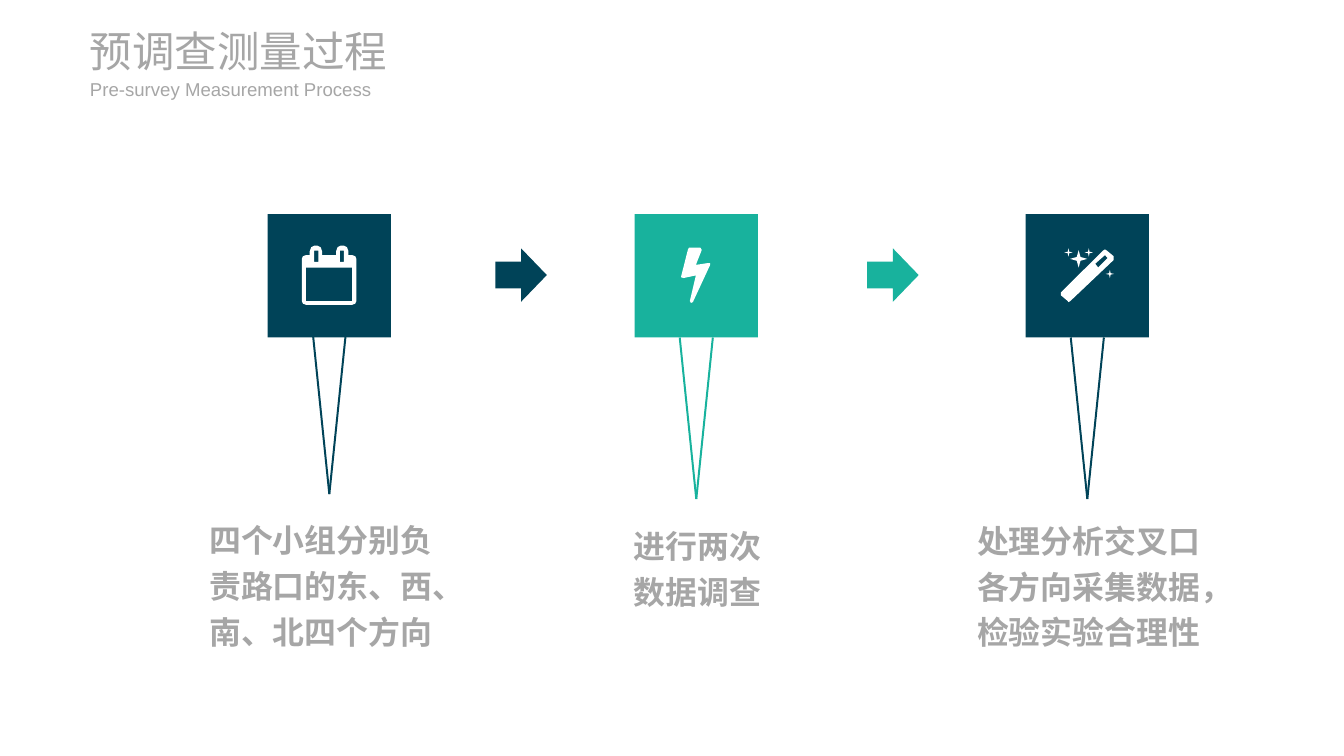
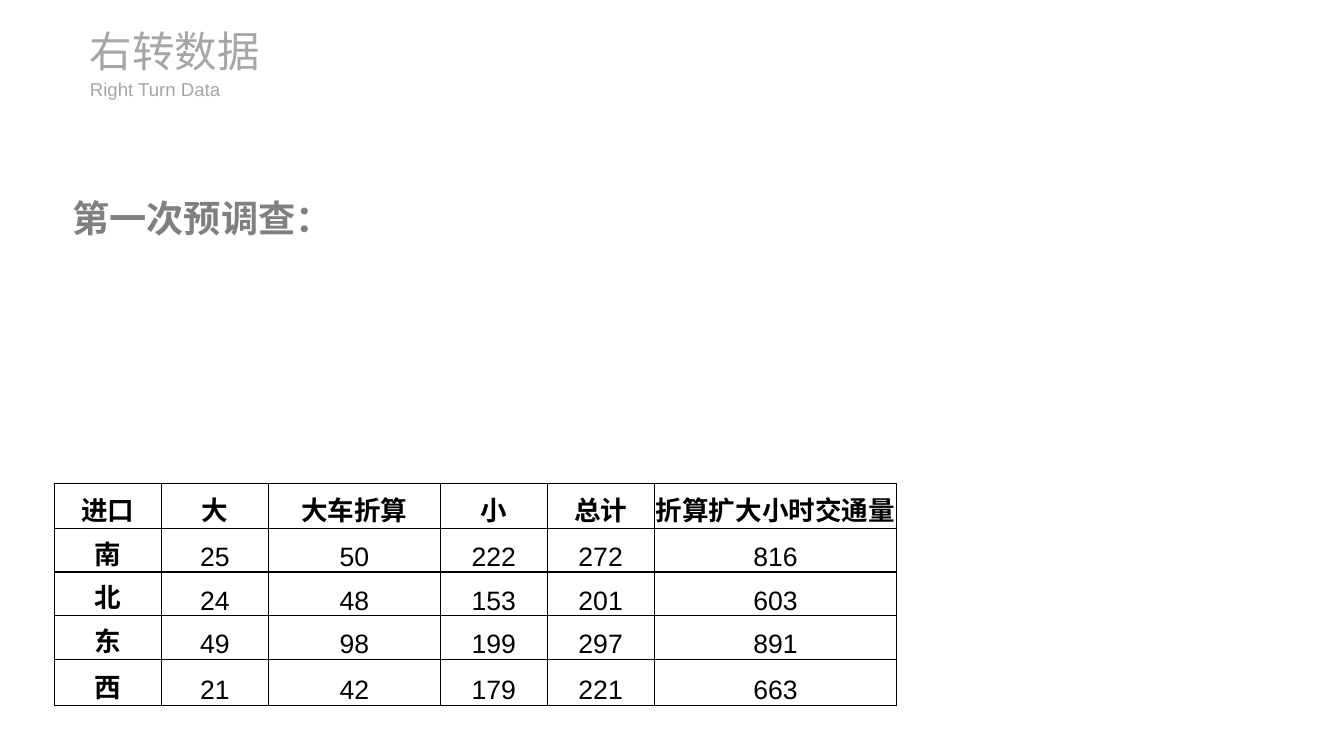
from lxml import etree
from pptx import Presentation
from pptx import util as u
from pptx.dml.color import RGBColor
from pptx.enum import shapes, text
from pptx.oxml.ns import qn


class Theme:
    navy, teal, white, black = "004358", "18B29D", "FFFFFF", "000000"
    grey, dark_grey = "A6A6A6", "808080"
    font, table_font = "Arial", "Calibri"
    title, subtitle, heading, caption, table = 32, 14, 28, 24, 20


TILE, TILE_TOP = 3.28, 5.69
PIN_HALF, PIN_HEIGHT = 0.44, 4.29
ARROW_W, ARROW_H, ARROW_TOP = 1.37, 1.42, 6.6


def mirror(points):
    return points + [(327 - x, y) for x, y in reversed(points)]


def flip(points):
    return [(327 - x, y) for x, y in points]


def box(x0, y0, x1, y1):
    return [(x0, y0), (x1, y0), (x1, y1), (x0, y1)]


def sparkle(x, y, size):
    d = round(size * 0.22)
    return [(x, y - size), (x + d, y - d), (x + size, y), (x + d, y + d),
            (x, y + size), (x - d, y + d), (x - size, y), (x - d, y - d)]


slot = box(124, 97, 135, 127)
calendar = [
    mirror([(102, 241), (94, 238), (91, 231), (91, 119), (94, 112), (102, 109),
            (112, 109), (112, 99), (116, 88), (124, 84), (133, 84), (141, 88),
            (145, 99), (145, 109)]),
    box(102, 142, 225, 231), slot, flip(slot)]
bolt = [[(201, 135), (155, 234), (150, 236), (147, 231), (163, 163), (130, 170),
         (124, 168), (124, 165), (142, 94), (145, 89), (175, 89), (178, 94),
         (178, 97), (163, 135), (196, 130), (201, 130)]]
wand = [
    [(234, 122), (119, 231), (114, 234), (112, 231), (94, 216), (94, 208),
     (206, 97), (211, 94), (216, 97), (234, 112), (234, 117)],
    [(218, 117), (211, 109), (185, 132), (193, 142)],
    sparkle(114, 102, 11), sparkle(141, 119, 23),
    sparkle(168, 102, 11), sparkle(224, 159, 11)]

STEPS = [
    dict(left=7.11, color=Theme.navy, icon=calendar, pin_tip=13.13,
         text="四个小组分别负责路口的东、西、南、北四个方向",
         caption=(5.56, 14.27, 6.35, 2.39)),
    dict(left=16.86, color=Theme.teal, icon=bolt, pin_tip=13.26,
         text="进行两次数据调查", caption=(16.84, 14.55, 3.71, 0.94)),
    dict(left=27.25, color=Theme.navy, icon=wand, pin_tip=13.26,
         text="处理分析交叉口各方向采集数据，检验实验合理性",
         caption=(25.96, 15.01, 6.6, 0.94)),
]
ARROWS = [(13.16, Theme.navy), (23.04, Theme.teal)]

COUNTS = [
    ("进口", "大", "大车折算", "小", "总计", "折算扩大小时交通量"),
    ("南", 25, 50, 222, 272, 816),
    ("北", 24, 48, 153, 201, 603),
    ("东", 49, 98, 199, 297, 891),
    ("西", 21, 42, 179, 221, 663),
]
COL_WIDTHS = (2.84, 2.84, 4.57, 2.84, 2.84, 6.45)
ROW_HEIGHTS = (1.19, 1.16, 1.16, 1.16, 1.22)


def rgb(color):
    return RGBColor.from_string(color)


def cm(*values):
    return [u.Cm(v) for v in values]


def write(tf, content, size, color=Theme.grey, bold=False, font=Theme.font,
          align=text.PP_ALIGN.LEFT, spacing=None):
    p = tf.paragraphs[0]
    p.alignment = align
    if spacing:
        p.line_spacing = spacing
    r = p.add_run()
    r.text = str(content)
    r.font.size, r.font.bold, r.font.name = u.Pt(size), bold, font
    r.font.color.rgb = rgb(color)


def add_text(s, place, content, insets=(0, 0), grow=False,
             anchor=text.MSO_ANCHOR.MIDDLE, **style):
    tf = s.shapes.add_textbox(*cm(*place)).text_frame
    tf.word_wrap = True
    tf.vertical_anchor = anchor
    tf.margin_left = tf.margin_right = u.Cm(insets[0])
    tf.margin_top = tf.margin_bottom = u.Cm(insets[1])
    if grow:
        tf.auto_size = text.MSO_AUTO_SIZE.SHAPE_TO_FIT_TEXT
    write(tf, content, **style)


def paint(sp, color):
    sp.shadow.inherit = False
    sp.fill.solid()
    sp.fill.fore_color.rgb = rgb(color)
    sp.line.fill.background()


def add_block(s, kind, place, color):
    paint(s.shapes.add_shape(kind, *cm(*place)), color)


def add_line(s, start, end, color):
    line = s.shapes.add_connector(shapes.MSO_CONNECTOR.STRAIGHT, *cm(*start, *end))
    line.line.color.rgb = rgb(color)
    line.line.width = u.Pt(1.5)
    etree.SubElement(line._element.spPr, qn("a:effectLst"))


def add_icon(s, contours, left, top):
    outline = s.shapes.build_freeform(*contours[0][0], scale=u.Cm(0.01))
    for i, points in enumerate(contours):
        if i:
            outline.move_to(*points[0])
        outline.add_line_segments(points[1:], close=True)
    paint(outline.convert_to_shape(*cm(left, top)), Theme.white)


def add_slide(prs, title, subtitle):
    s = prs.slides.add_slide(prs.slide_layouts[6])
    add_text(s, (2.39, 0.66, 10.97, 1.37), title, grow=True, size=Theme.title)
    add_text(s, (2.39, 2.06, 7.8, 0.61), subtitle, grow=True, size=Theme.subtitle)
    return s


def add_step(s, step):
    left, color, tip = step["left"], step["color"], step["pin_tip"]
    center = left + TILE / 2
    for side in (-PIN_HALF, PIN_HALF):
        add_line(s, (center, tip), (center + side, tip - PIN_HEIGHT), color)
    add_block(s, shapes.MSO_SHAPE.RECTANGLE, (left, TILE_TOP, TILE, TILE), color)
    add_icon(s, step["icon"], left, TILE_TOP)
    add_text(s, step["caption"], step["text"], insets=(0, 0.28),
             size=Theme.caption, bold=True, spacing=1.2)


def set_borders(cell):
    props = cell._tc.get_or_add_tcPr()
    for i, side in enumerate(("lnL", "lnR", "lnT", "lnB")):
        ln = etree.Element(qn("a:" + side), w=str(u.Pt(1)))
        fill = etree.SubElement(ln, qn("a:solidFill"))
        etree.SubElement(fill, qn("a:srgbClr"), val=Theme.black)
        props.insert(i, ln)


def add_counts(s, left, top):
    place = cm(left, top, sum(COL_WIDTHS), sum(ROW_HEIGHTS))
    table = s.shapes.add_table(len(COUNTS), len(COL_WIDTHS), *place).table
    table.first_row = table.horz_banding = False
    for col, width in zip(table.columns, COL_WIDTHS):
        col.width = u.Cm(width)
    for row, height, values in zip(table.rows, ROW_HEIGHTS, COUNTS):
        row.height = u.Cm(height)
        for cell, value in zip(row.cells, values):
            label = isinstance(value, str)
            cell.fill.background()
            cell.margin_left = cell.margin_right = cell.margin_top = u.Cm(0.02)
            cell.margin_bottom = 0
            cell.vertical_anchor = text.MSO_ANCHOR.BOTTOM
            write(cell.text_frame, value, Theme.table, Theme.black, bold=label,
                  font=Theme.table_font if label else Theme.font,
                  align=text.PP_ALIGN.CENTER)
            set_borders(cell)


def main():
    prs = Presentation()
    prs.slide_width, prs.slide_height = cm(35.71, 20.09)

    s = add_slide(prs, "预调查测量过程", "Pre-survey Measurement Process")
    for step in STEPS:
        add_step(s, step)
    for left, color in ARROWS:
        add_block(s, shapes.MSO_SHAPE.RIGHT_ARROW,
                  (left, ARROW_TOP, ARROW_W, ARROW_H), color)

    s = add_slide(prs, "右转数据", "Right Turn Data")
    add_text(s, (1.68, 5.05, 8.99, 1.45), "第一次预调查：", insets=(0.25, 0.13),
             grow=True, anchor=text.MSO_ANCHOR.TOP, size=Theme.heading,
             color=Theme.dark_grey, bold=True)
    add_counts(s, 1.45, 12.85)

    prs.save("out.pptx")


if __name__ == "__main__":
    main()
